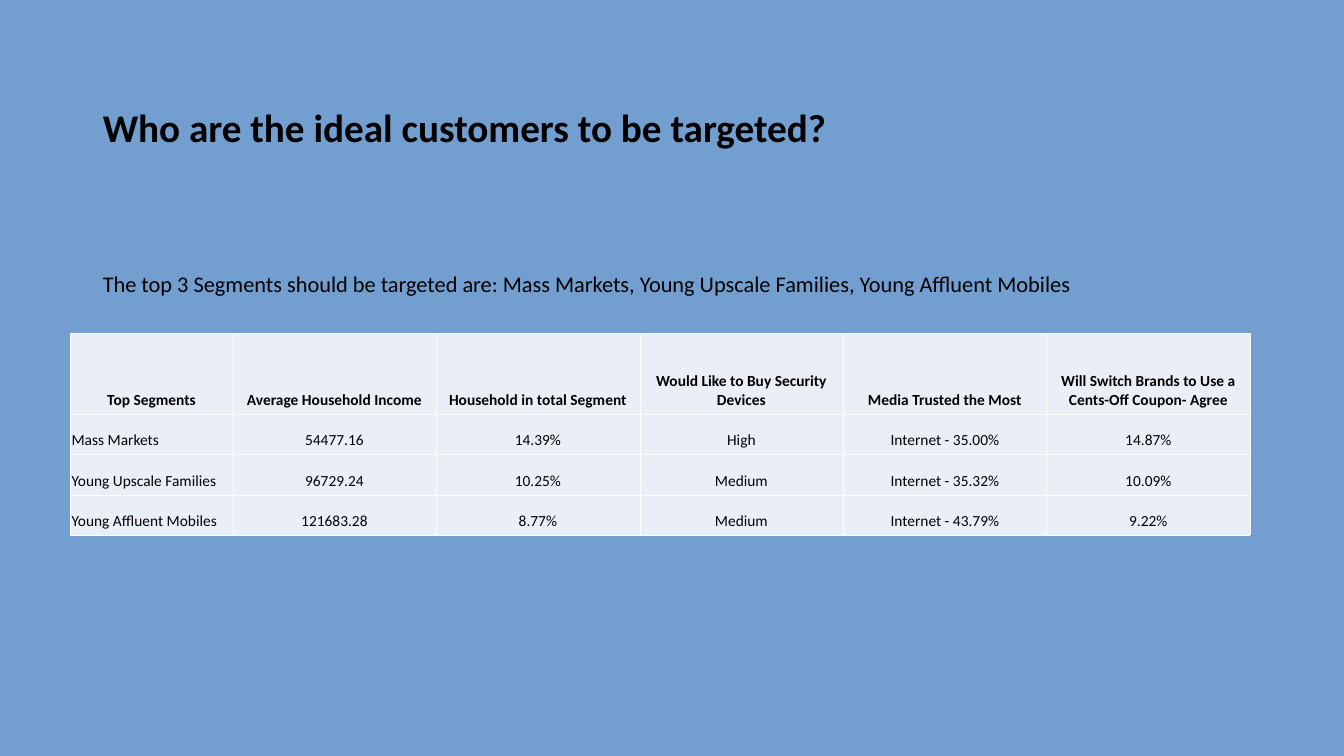
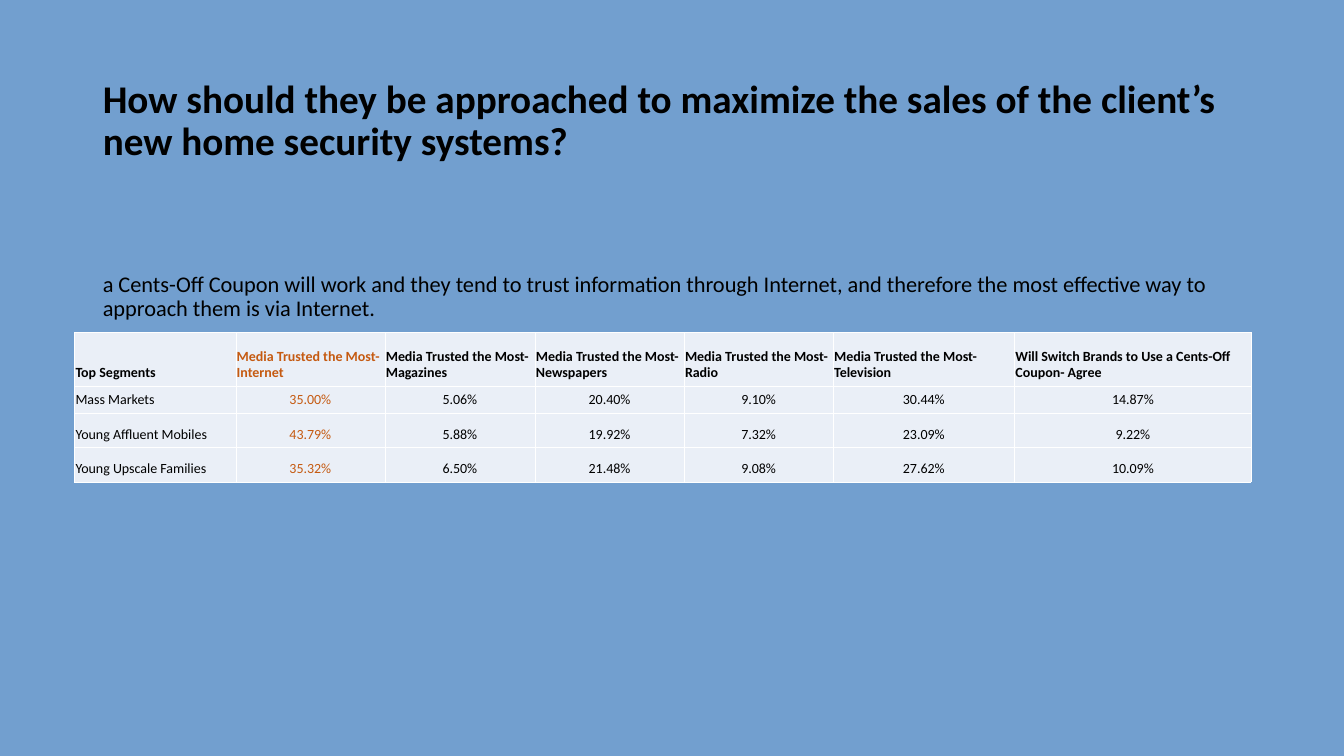
import dataclasses

import pptx
import pptx.dml.color
import pptx.enum.text
import pptx.oxml
import pptx.oxml.ns
import pptx.util
from lxml import etree

ALIGN = pptx.enum.text.PP_ALIGN
ANCHOR = pptx.enum.text.MSO_ANCHOR
TITLE_ONLY = 5


@dataclasses.dataclass(frozen=True)
class Theme:
    font: str = "Calibri"
    background: str = "729FCF"
    ink: str = "000000"
    accent: str = "C55A11"
    cell: str = "EAEFF7"
    border: str = "FFFFFF"
    border_width: float = 0.23
    title_size: int = 28
    lead_size: int = 16
    title_spacing: float = 0.9
    cell_spacing: float = 0.98
    grid: float = 0.1
    slide_columns: float = 133.4
    slide_rows: float = 75


@dataclasses.dataclass(frozen=True)
class Box:
    left: float
    top: float
    width: float
    height: float

    def place(self):
        return [unit(v) for v in (self.left, self.top, self.width, self.height)]


THEME = Theme()


def unit(count):
    return pptx.util.Inches(count * THEME.grid)


def rgb(value):
    return pptx.dml.color.RGBColor.from_string(value)


def apply(target, values):
    for name, value in values.items():
        setattr(target, name, value)


def write(p, text, size, bold=False, color=THEME.ink, **paragraph):
    apply(p, paragraph)
    r = p.add_run()
    r.text = text
    apply(r.font, {"name": THEME.font, "size": pptx.util.Pt(size), "bold": bold})
    r.font.color.rgb = rgb(color)


def add_heading(s, box, title, lead, gap):
    sp = s.shapes.title
    apply(sp, dict(zip(("left", "top", "width", "height"), box.place())))
    tf = sp.text_frame
    apply(tf, {
        "word_wrap": True,
        "auto_size": pptx.enum.text.MSO_AUTO_SIZE.NONE,
        "vertical_anchor": ANCHOR.BOTTOM,
        "margin_bottom": unit(0.2),
    })
    shared = {"alignment": ALIGN.LEFT, "line_spacing": THEME.title_spacing}
    write(tf.paragraphs[0], title, THEME.title_size, bold=True, **shared)
    write(tf.add_paragraph(), lead, THEME.lead_size,
          space_before=pptx.util.Pt(gap), **shared)


def add_borders(cell):
    tc_pr = cell._tc.get_or_add_tcPr()
    for side in ("lnL", "lnR", "lnT", "lnB"):
        ln = etree.SubElement(tc_pr, pptx.oxml.ns.qn("a:" + side))
        ln.set("w", str(pptx.util.Pt(THEME.border_width)))
        fill = etree.SubElement(ln, pptx.oxml.ns.qn("a:solidFill"))
        etree.SubElement(fill, pptx.oxml.ns.qn("a:srgbClr")).set("val", THEME.border)


def share_out(lines, weights, total):
    for line, weight in zip(lines, weights):
        yield line, unit(total * weight / sum(weights))


def add_segment_table(s, box, rows, columns, heights, size, header_align, accent=None):
    table = s.shapes.add_table(len(rows), len(columns), *box.place()).table
    table.horz_banding = False
    for column, width in share_out(table.columns, columns, box.width):
        column.width = width
    for row, height in share_out(table.rows, heights, box.height):
        row.height = height
    for i, values in enumerate(rows):
        for j, text in enumerate(values):
            cell = table.cell(i, j)
            add_borders(cell)
            cell.fill.solid()
            cell.fill.fore_color.rgb = rgb(THEME.cell)
            apply(cell, {
                "vertical_anchor": ANCHOR.BOTTOM,
                "margin_left": unit(0.1), "margin_right": unit(0.1),
                "margin_top": unit(0.5), "margin_bottom": unit(0.5),
            })
            body_align = ALIGN.CENTER if j else ALIGN.LEFT
            write(cell.text_frame.paragraphs[0], text, size, bold=i == 0,
                  color=THEME.accent if j == accent else THEME.ink,
                  alignment=body_align if i else header_align,
                  line_spacing=THEME.cell_spacing)


def add_segment_slide(prs, heading, table):
    s = prs.slides.add_slide(prs.slide_layouts[TITLE_ONLY])
    add_heading(s, **heading)
    add_segment_table(s, **table)


SLIDES = [
    {
        "heading": {
            "box": Box(9.2, 4, 115, 25.7),
            "title": "Who are the ideal customers to be targeted?",
            "lead": "The top 3 Segments should be targeted are: Mass Markets, "
                    "Young Upscale Families, Young Affluent Mobiles",
            "gap": 87,
        },
        "table": {
            "box": Box(7, 33.1, 117.1, 20),
            "columns": [1.61] + [2.02] * 5,
            "heights": [2, 1, 1, 1],
            "size": 11,
            "header_align": ALIGN.CENTER,
            "rows": [
                ["Top Segments", "Average Household Income", "Household in total Segment",
                 "Would Like to Buy Security Devices", "Media Trusted the Most",
                 "Will Switch Brands to Use a Cents-Off Coupon- Agree"],
                ["Mass Markets", "54477.16", "14.39%", "High", "Internet - 35.00%", "14.87%"],
                ["Young Upscale Families", "96729.24", "10.25%", "Medium",
                 "Internet - 35.32%", "10.09%"],
                ["Young Affluent Mobiles", "121683.28", "8.77%", "Medium",
                 "Internet - 43.79%", "9.22%"],
            ],
        },
    },
    {
        "heading": {
            "box": Box(9.2, 4, 115, 28.1),
            "title": "How should they be approached to maximize the sales of "
                     "the client’s new home security systems?",
            "lead": "a Cents-Off Coupon will work and they tend to trust information "
                    "through Internet, and therefore the most effective way to "
                    "approach them is via Internet.",
            "gap": 78,
        },
        "table": {
            "box": Box(7.4, 33, 116.8, 14.8),
            "columns": [1.6, 1.48, 1.49, 1.48, 1.48, 1.8, 2.35],
            "heights": [0.53, 0.27, 0.34, 0.34],
            "size": 10,
            "header_align": ALIGN.LEFT,
            "accent": 1,
            "rows": [
                ["Top Segments"]
                + ["Media Trusted the Most- " + medium for medium in
                   ("Internet", "Magazines", "Newspapers", "Radio", "Television")]
                + ["Will Switch Brands to Use a Cents-Off Coupon- Agree"],
                ["Mass Markets", "35.00%", "5.06%", "20.40%", "9.10%", "30.44%", "14.87%"],
                ["Young Affluent Mobiles", "43.79%", "5.88%", "19.92%", "7.32%",
                 "23.09%", "9.22%"],
                ["Young Upscale Families", "35.32%", "6.50%", "21.48%", "9.08%",
                 "27.62%", "10.09%"],
            ],
        },
    },
]


def main():
    prs = pptx.Presentation()
    apply(prs, {"slide_width": unit(THEME.slide_columns),
                "slide_height": unit(THEME.slide_rows)})
    fill = prs.slide_master.background.fill
    fill.solid()
    fill.fore_color.rgb = rgb(THEME.background)
    for content in SLIDES:
        add_segment_slide(prs, **content)
    prs.save("out.pptx")


if __name__ == "__main__":
    main()
